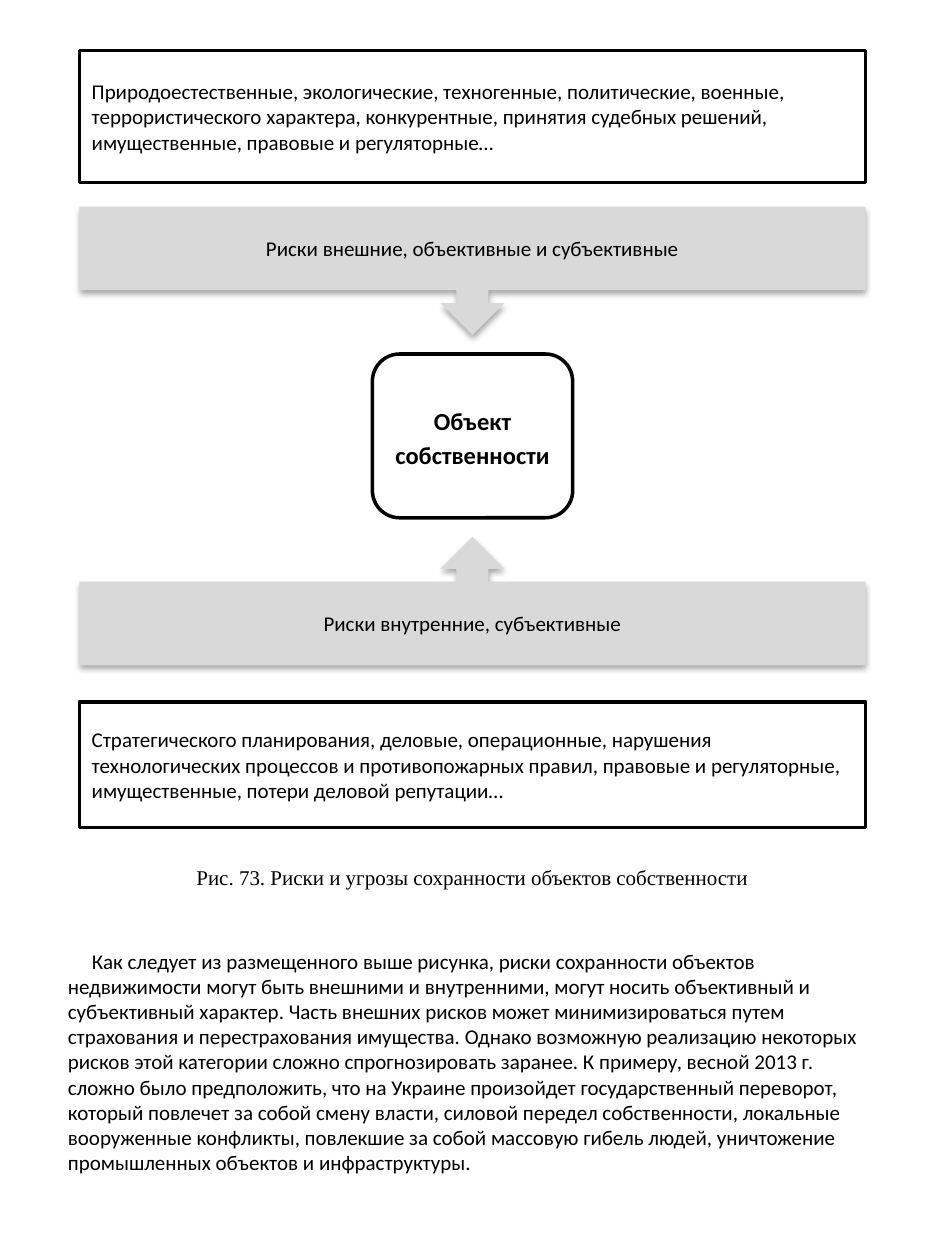
from lxml.etree import SubElement
from pptx import Presentation
from pptx.dml.color import RGBColor
from pptx.enum.shapes import MSO_SHAPE
from pptx.enum.text import MSO_ANCHOR, MSO_AUTO_SIZE, PP_ALIGN
from pptx.oxml.ns import qn
from pptx.util import Inches, Pt

THEME = {
    "sans": "Calibri", "serif": "Times New Roman",
    "text_size": 12, "core_size": 14, "line_width": 2,
    "ink": "000000", "paper": "FFFFFF", "band": "D9D9D9",
}

# Content
EXTERNAL_EXAMPLES = (
    "Природоестественные, экологические, техногенные, политические, военные, "
    "террористического характера, конкурентные, принятия судебных решений, "
    "имущественные, правовые и регуляторные…")
INTERNAL_EXAMPLES = (
    "Стратегического планирования, деловые, операционные, нарушения "
    "технологических процессов и противопожарных правил, правовые и регуляторные, "
    "имущественные, потери деловой репутации…")
EXTERNAL_RISKS = "Риски внешние, объективные и субъективные"
INTERNAL_RISKS = "Риски внутренние, субъективные"
PROPERTY = "Объект собственности"
CAPTION = "Рис. 73. Риски и угрозы сохранности объектов собственности"
COMMENTARY = (
    "Как следует из размещенного выше рисунка, риски сохранности объектов "
    "недвижимости могут быть внешними и внутренними, могут носить объективный и "
    "субъективный характер. Часть внешних рисков может минимизироваться путем "
    "страхования и перестрахования имущества. Однако возможную реализацию некоторых "
    "рисков этой категории сложно спрогнозировать заранее. К примеру, весной 2013 г. "
    "сложно было предположить, что на Украине произойдет государственный переворот, "
    "который повлечет за собой смену власти, силовой передел собственности, локальные "
    "вооруженные конфликты, повлекшие за собой массовую гибель людей, уничтожение "
    "промышленных объектов и инфраструктуры.")

# Layout in inches: the diagram is one column, the property box is centred in it
LEFT, WIDTH = 0.63, 6.24
BAND_HEIGHT = 1.02
CORE_WIDTH = 1.59
CORE_LEFT = LEFT + (WIDTH - CORE_WIDTH) / 2


def color(name):
    return RGBColor.from_string(THEME[name])


def format_box(box, text, fill="paper", line=None, align=PP_ALIGN.CENTER,
               size="text_size", font="sans", bold=False):
    box.fill.solid()
    box.fill.fore_color.rgb = color(fill)
    if line:
        box.line.color.rgb = color(line)
        box.line.width = Pt(THEME["line_width"])
    else:
        box.line.fill.background()
    frame = box.text_frame
    frame.text = text
    frame.word_wrap = True
    frame.auto_size = MSO_AUTO_SIZE.NONE
    frame.vertical_anchor = MSO_ANCHOR.MIDDLE
    paragraph = frame.paragraphs[0]
    paragraph.alignment = align
    paragraph.font.name = THEME[font]
    paragraph.font.size = Pt(THEME[size])
    paragraph.font.bold = bold
    paragraph.font.color.rgb = color("ink")
    return paragraph


def add_box(slide, kind, left, top, width, height):
    box = slide.shapes.add_shape(
        kind, Inches(left), Inches(top), Inches(width), Inches(height))
    box.shadow.inherit = False
    return box


def add_soft_shadow(box):
    effects = box._element.spPr.find(qn("a:effectLst"))
    shadow = SubElement(effects, qn("a:outerShdw"), blurRad=str(Pt(3.1)),
                        dist=str(Pt(1.8)), dir="5400000", rotWithShape="0")
    tint = SubElement(shadow, qn("a:srgbClr"), val=THEME["ink"])
    SubElement(tint, qn("a:alpha"), val="35000")


def main():
    deck = Presentation()
    deck.slide_width, deck.slide_height = Inches(7.5), Inches(10)
    slide = deck.slides.add_slide(deck.slide_layouts[5])

    # Commentary with a first-line indent
    commentary_box = add_box(slide, MSO_SHAPE.RECTANGLE, 0.44, 7.36, 6.61, 2.13)
    commentary = format_box(commentary_box, COMMENTARY, align=PP_ALIGN.LEFT)
    commentary._p.get_or_add_pPr().set("indent", str(Inches(0.19)))

    # Risk bands pointing at the property
    for text, kind, top in (
            (EXTERNAL_RISKS, MSO_SHAPE.DOWN_ARROW_CALLOUT, 1.64),
            (INTERNAL_RISKS, MSO_SHAPE.UP_ARROW_CALLOUT, 4.26)):
        band = add_box(slide, kind, LEFT, top, WIDTH, BAND_HEIGHT)
        format_box(band, text, fill="band")
        add_soft_shadow(band)

    # Property at the centre
    core_box = add_box(slide, MSO_SHAPE.ROUNDED_RECTANGLE,
                       CORE_LEFT, 2.81, CORE_WIDTH, 1.3)
    core = format_box(core_box, PROPERTY, line="ink", size="core_size", bold=True)
    core.line_spacing = 1.15
    core.space_after = Pt(10)

    # Examples of each risk group
    for text, top, height in ((EXTERNAL_EXAMPLES, 0.4, 1.05),
                              (INTERNAL_EXAMPLES, 5.57, 1)):
        examples = add_box(slide, MSO_SHAPE.RECTANGLE, LEFT, top, WIDTH, height)
        format_box(examples, text, line="ink", align=PP_ALIGN.LEFT)

    # Figure caption as the slide title
    caption = slide.shapes.title
    caption.left, caption.top = Inches(LEFT), Inches(6.81)
    caption.width, caption.height = Inches(WIDTH), Inches(0.3)
    format_box(caption, CAPTION, font="serif")

    deck.save("out.pptx")


if __name__ == "__main__":
    main()
